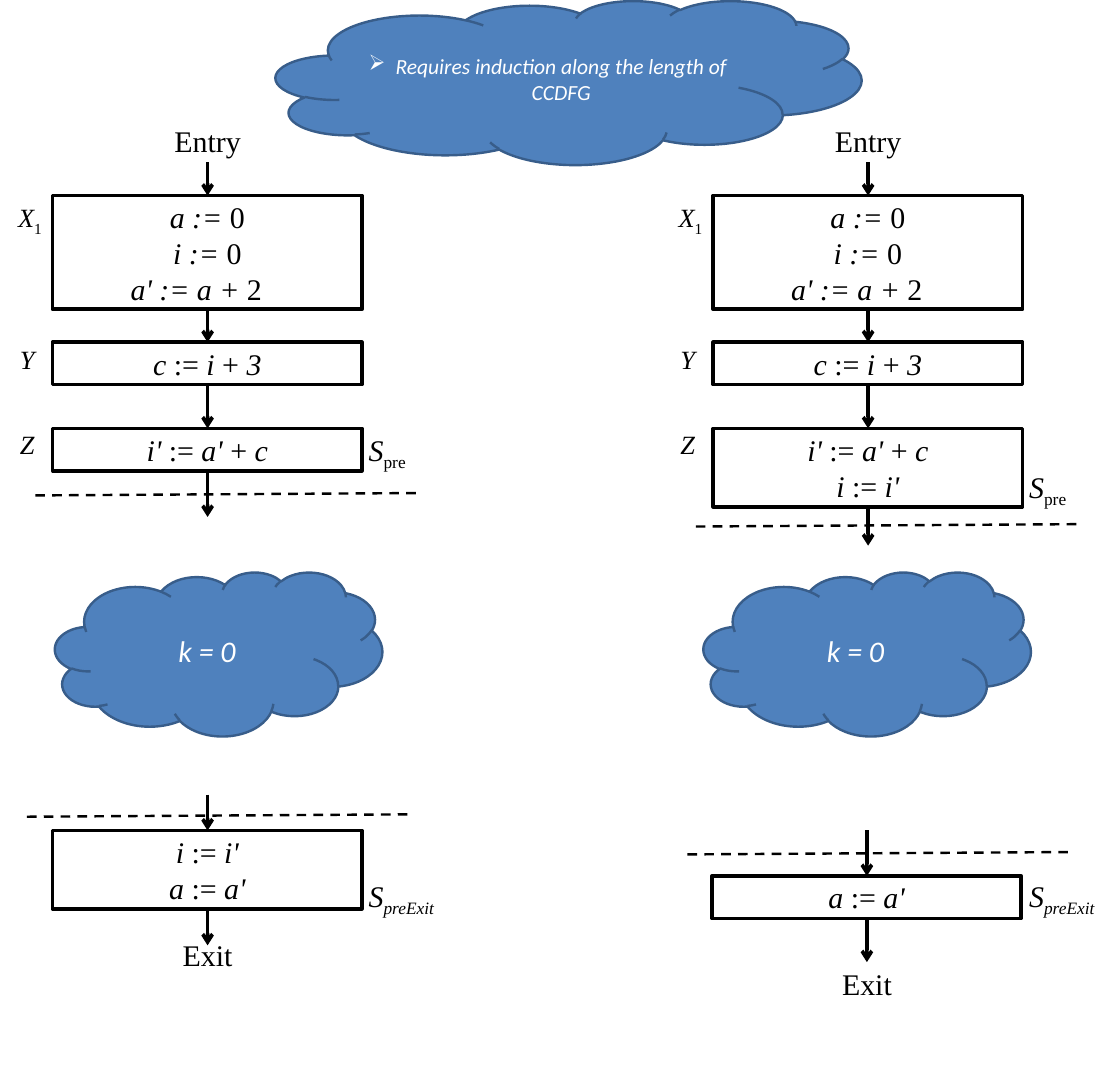
from pptx import Presentation
from pptx.dml.color import RGBColor
from pptx.enum.dml import MSO_LINE
from pptx.enum.shapes import MSO_CONNECTOR, MSO_SHAPE
from pptx.enum.text import MSO_ANCHOR, PP_ALIGN
from pptx.oxml.ns import qn
from pptx.util import Pt
from lxml.etree import SubElement

BLACK = RGBColor(0x00, 0x00, 0x00)
WHITE = RGBColor(0xFF, 0xFF, 0xFF)
CLOUD_BLUE = RGBColor(0x4F, 0x81, 0xBD)
CLOUD_EDGE = RGBColor(0x38, 0x5D, 0x8A)
SERIF, SANS = "Times New Roman", "Calibri"

COLUMN_SHIFT = 552
BOX_LEFT, BOX_WIDTH, AXIS = 44, 258.5, 173.5
ONE_ROW, TWO_ROWS, THREE_ROWS = 35.5, 65.5, 95
UPDATE_NUDGE = 18.5  # how far the a' row sits off the other rows' indent


def set_font(font, size, color=BLACK, name=SERIF, italic=False):
    font.size, font.name, font.italic = Pt(size), name, italic
    font.color.rgb = color


def set_margins(frame, side, top):
    frame.word_wrap = True
    frame.margin_left = frame.margin_right = Pt(side)
    frame.margin_top = frame.margin_bottom = Pt(top)


def add_rows(frame, rows, size=25, align=PP_ALIGN.CENTER):
    """Write one paragraph per row; text between underscores is italic."""
    for number, row in enumerate(rows):
        paragraph = frame.add_paragraph() if number else frame.paragraphs[0]
        paragraph.alignment = align
        for position, part in enumerate(row.split("_")):
            if part:
                run = paragraph.add_run()
                run.text = part
                set_font(run.font, size, italic=position % 2 == 1)


def add_label(slide, left, top, width, height, text, size=25,
              align=PP_ALIGN.LEFT, subscript="", margins=(5.2, 2.6)):
    label = slide.shapes.add_textbox(Pt(left), Pt(top), Pt(width), Pt(height))
    set_margins(label.text_frame, *margins)
    add_rows(label.text_frame, [text + subscript], size, align)
    if subscript:
        label.text_frame.paragraphs[0].runs[-1].font._element.set("baseline", "-25000")


def add_line(slide, x1, y1, x2, y2, width):
    line = slide.shapes.add_connector(
        MSO_CONNECTOR.STRAIGHT, Pt(x1), Pt(y1), Pt(x2), Pt(y2))
    line.line.color.rgb = BLACK
    line.line.width = Pt(width)
    SubElement(line._element.spPr, qn("a:effectLst"))
    return line


def add_arrow(slide, x, top, bottom):
    arrow = add_line(slide, x, top, x, bottom, 3)
    SubElement(arrow.line._get_or_add_ln(), qn("a:tailEnd"), type="arrow")


def add_cut(slide, left, top):
    cut = add_line(slide, left, top + 2, left + 324, top, 2)
    cut.line.dash_style = MSO_LINE.DASH


def add_block(slide, left, top, height, rows):
    block = slide.shapes.add_shape(
        MSO_SHAPE.RECTANGLE, Pt(left), Pt(top), Pt(BOX_WIDTH), Pt(height))
    block.shadow.inherit = False
    block.fill.background()
    block.line.color.rgb = BLACK
    block.line.width = Pt(3)
    frame = block.text_frame
    set_margins(frame, 5.2, 2.6)
    frame.vertical_anchor = MSO_ANCHOR.TOP
    add_rows(frame, rows)
    return frame


def add_cloud(slide, left, top, width, height, text, size, bullet=""):
    cloud = slide.shapes.add_shape(
        MSO_SHAPE.CLOUD, Pt(left), Pt(top), Pt(width), Pt(height))
    cloud.shadow.inherit = False
    cloud.fill.solid()
    cloud.fill.fore_color.rgb = CLOUD_BLUE
    cloud.line.color.rgb = CLOUD_EDGE
    cloud.line.width = Pt(2)
    frame = cloud.text_frame
    frame.text = text
    set_margins(frame, 7.2, 3.6)
    frame.vertical_anchor = MSO_ANCHOR.MIDDLE
    paragraph = frame.paragraphs[0]
    paragraph.alignment = PP_ALIGN.CENTER
    if bullet:
        properties = paragraph._p.get_or_add_pPr()
        properties.set("marL", str(Pt(22.5)))
        properties.set("indent", str(-Pt(22.5)))
        SubElement(properties, qn("a:buChar"), char=bullet)
    set_font(paragraph.runs[0].font, size, WHITE, SANS, italic=True)


def add_prologue(slide, left, z_rows, z_height, arrow_end, cut_top, s_top):
    axis, box_left = left + AXIS, left + BOX_LEFT
    add_label(slide, axis - 43, 100, 86, 35.5, "Entry", align=PP_ALIGN.CENTER)

    # Blocks X1, Y and Z
    x_frame = add_block(slide, box_left, 163.5, THREE_ROWS,
                        ["_a := _0", "_i := _0", "_a' := a + _2"])
    x_frame.margin_right = Pt(5.2 + UPDATE_NUDGE)
    for paragraph in x_frame.paragraphs[:2]:
        paragraph._p.get_or_add_pPr().set("marL", str(Pt(UPDATE_NUDGE)))
    add_block(slide, box_left, 286, ONE_ROW, ["_c _:=_ i _+_ 3_"])
    add_block(slide, box_left, 358, z_height, z_rows)

    # Names of the blocks and of the stage
    add_label(slide, left + 10, 165.5, 32, 35.5, "_X_", 22, subscript="1")
    add_label(slide, left + 11.5, 284, 32, 32, "_Y_", 22)
    add_label(slide, left + 11.5, 355.5, 32, 32, "_Z_", 22)
    add_label(slide, left + 301, s_top, 61, 42, "_S_",
              subscript="pre", margins=(7.2, 3.6))

    # Flow
    for top, bottom in ((135.5, 163.5), (259, 286), (322, 358),
                        (358 + z_height, arrow_end)):
        add_arrow(slide, axis, top, bottom)
    add_cut(slide, left + 29.5, cut_top)


def add_epilogue(slide, left, rows, height, box_shift, top, arrow_start,
                 arrow_end, cut_top, exit_top):
    axis = left + AXIS + box_shift
    add_cut(slide, left + 22.5, cut_top)
    add_arrow(slide, axis, arrow_start, top)
    add_block(slide, left + BOX_LEFT + box_shift, top, height, rows)
    add_label(slide, left + 301, 729.5, 83.5, 42, "_S_",
              subscript="_preExit_", margins=(7.2, 3.6))
    add_arrow(slide, axis, top + height, arrow_end)
    add_label(slide, axis - 43, exit_top, 86, 35.5, "Exit", align=PP_ALIGN.CENTER)


def main():
    presentation = Presentation()
    presentation.slide_width, presentation.slide_height = Pt(936), Pt(900)
    slide = presentation.slides.add_slide(presentation.slide_layouts[6])

    add_cloud(slide, 230.5, 0.5, 489.5, 137,
              "Requires induction along the length of CCDFG", 18, bullet="➢")

    # Column before the move of i := i'
    z_row, i_row, a_row = "_i' _:=_ a' _+ _c_", "_i _:= _i'_", "_a _:=_ a'_"
    add_prologue(slide, 0, [z_row], ONE_ROW, 432, 412, 357)
    add_cloud(slide, 46, 478, 273.5, 137, "k = 0", 25)
    add_epilogue(slide, 0, [i_row, a_row], TWO_ROWS, 0, 694, 664, 790, 680.5, 780.5)

    # Column after the move
    add_prologue(slide, COLUMN_SHIFT, [z_row, i_row], TWO_ROWS, 456, 438, 388)
    add_cloud(slide, 588, 478, 273.5, 137, "k = 0", 25)
    add_epilogue(slide, COLUMN_SHIFT, [a_row], ONE_ROW, -1, 732, 694, 804, 712, 804)

    presentation.save("out.pptx")


if __name__ == "__main__":
    main()
